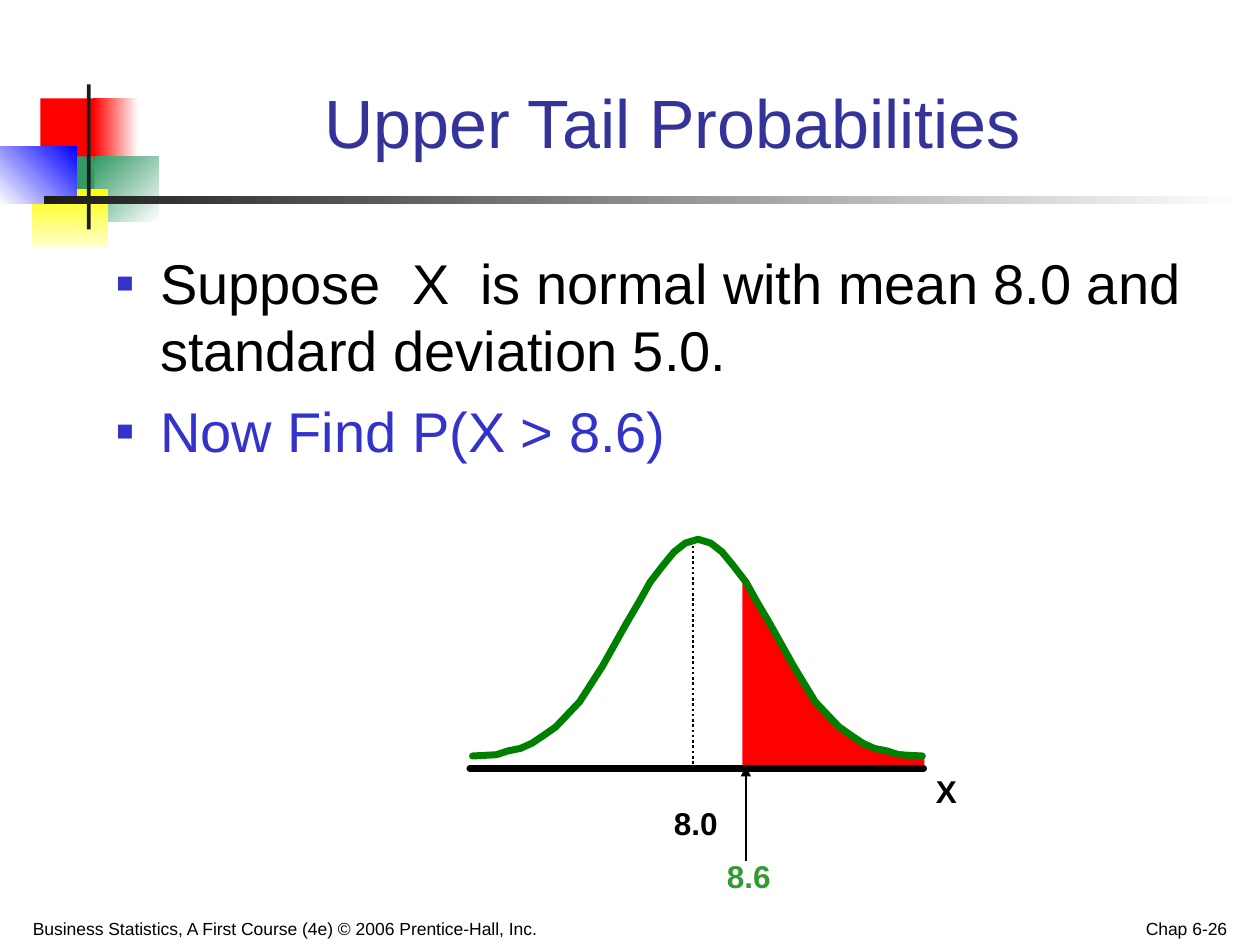
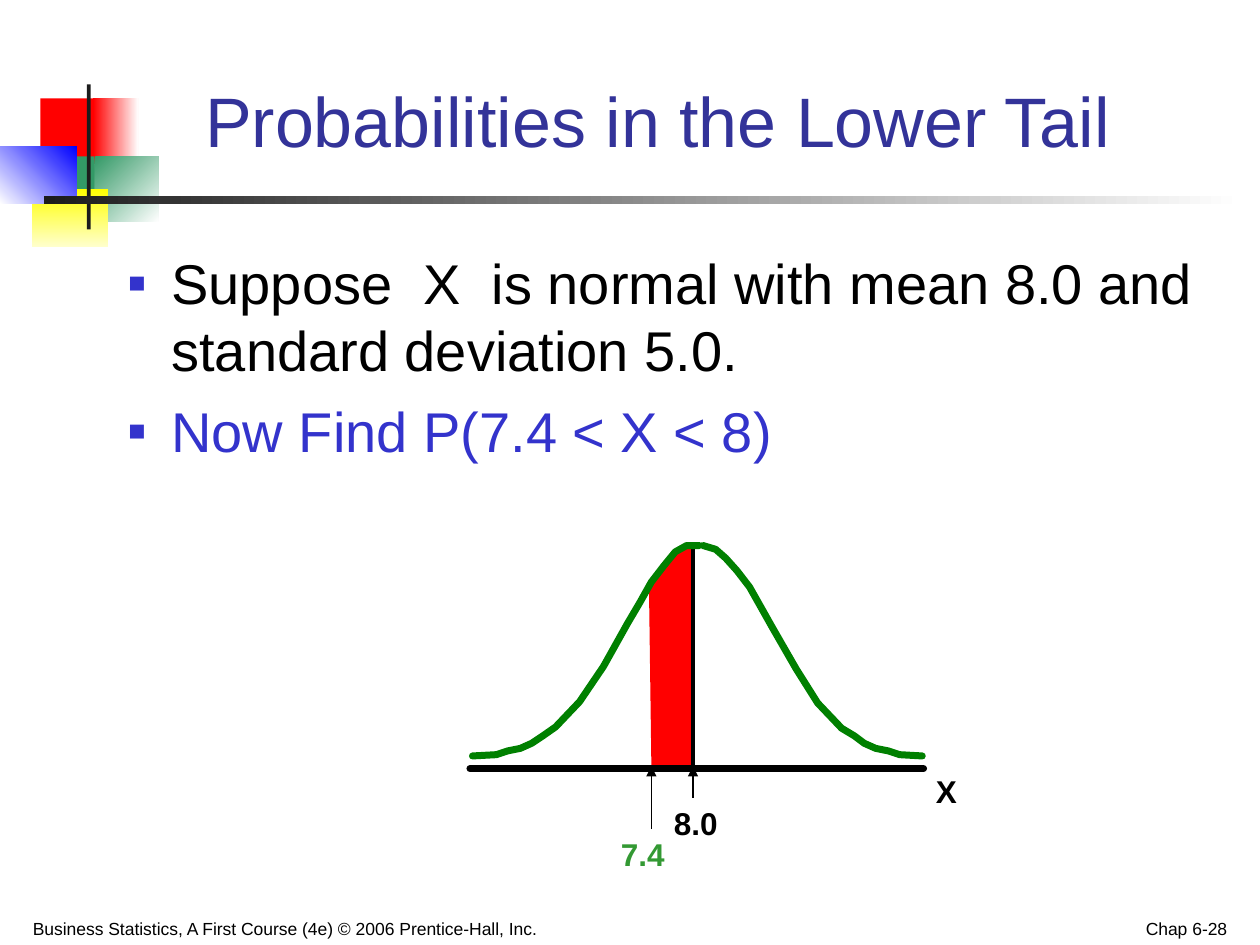
import lxml.etree
import pptx
import pptx.dml.color
import pptx.enum.dml
import pptx.enum.shapes
import pptx.enum.text
import pptx.oxml.ns
import pptx.util

RGB = pptx.dml.color.RGBColor
ALIGN = pptx.enum.text.PP_ALIGN
ANCHOR = pptx.enum.text.MSO_ANCHOR
FIT = pptx.enum.text.MSO_AUTO_SIZE
DASH = pptx.enum.dml.MSO_LINE
RECTANGLE = pptx.enum.shapes.MSO_SHAPE.RECTANGLE
STRAIGHT = pptx.enum.shapes.MSO_CONNECTOR.STRAIGHT
qn = pptx.oxml.ns.qn
Pt = pptx.util.Pt

BLACK = RGB(0, 0, 0)
WHITE = RGB(255, 255, 255)
CHARCOAL = RGB(0x1C, 0x1C, 0x1C)
RED = RGB(255, 0, 0)
BLUE = RGB(0, 0, 255)
YELLOW = RGB(255, 255, 0)
CREAM = RGB(0xFF, 0xFF, 0xCC)
SEA_GREEN = RGB(0x33, 0x99, 0x66)
CURVE_GREEN = RGB(0, 0x80, 0)
BOUND_GREEN = RGB(0x33, 0x99, 0x33)
TITLE_BLUE = RGB(0x33, 0x33, 0x99)
TASK_BLUE = RGB(0x33, 0x33, 0xCC)

COLUMNS, ROWS = 10, 7.5
FONT = "Arial"
COURSE = "Business Statistics, A First Course (4e) © 2006 Prentice-Hall, Inc."
PREMISE = "Suppose  X  is normal with mean 8.0 and standard deviation 5.0."
BULLET = "▪"

EMBLEM = [
    ((0.32, 0.78, 0.48, 0.52), [RED], 0),
    ((0.74, 0.78, 0.36, 0.52), [RED, WHITE], 0),
    ((0.75, 1.24, 0.51, 0.52), [SEA_GREEN, WHITE], 45),
    ((0.43, 1.24, 0.32, 0.52), [SEA_GREEN], 0),
    ((0.25, 1.5, 0.61, 0.46), [YELLOW, CREAM], 90),
    ((0, 1.16, 0.61, 0.46), [WHITE, BLUE], 315),
    ((0.69, 0.67, 0.03, 1.15), [CHARCOAL], 0),
    ((0.35, 1.56, 9.51, 0.06), [CHARCOAL, WHITE], 0),
]

AXIS_Y, FOOT_Y, MEAN_X = 6.1, 6, 5.5
ARROW_TIP = 6.08
HALF_WIDTH, HALF_HEIGHT = 1.79, 1.72
HALF_BELL = [
    (0, 0), (0.19, 0.01), (0.28, 0.04), (0.38, 0.06), (0.47, 0.1), (0.56, 0.16),
    (0.66, 0.23), (0.85, 0.43), (1.03, 0.71), (1.22, 1.05), (1.32, 1.22),
    (1.41, 1.38), (1.51, 1.51), (1.6, 1.62), (1.69, 1.69), (1.79, 1.72),
]
AXIS_LABEL = ("X", (7.33, 6.08, 0.42, 0.4), BLACK)
MEAN_LABEL = ("8.0", (5.25, 6.33, 0.55, 0.4), BLACK)

LESSONS = [
    {
        "title": "Upper Tail Probabilities",
        "title_at": (1.08, 0.42, 8.52, 0.92),
        "title_size": 39,
        "task": "Now Find P(X > 8.6)",
        "body_left": 0.83,
        "page": "Chap 6-26",
        "tail": [
            (5.9, 6.1), (5.9, 4.57), (5.94, 4.69), (6.04, 4.84), (6.1, 4.98),
            (6.17, 5.08), (6.24, 5.23), (6.37, 5.43), (6.48, 5.58), (6.66, 5.77),
            (6.95, 5.94), (7.33, 6), (7.33, 6.1),
        ],
        "tail_edge": 1,
        "halves": [(7.32, 5.54, 4.28, 4.28), (3.75, 5.54, 4.28, 4.28)],
        "mean_line": (1.5, DASH.ROUND_DOT),
        "bound": ("8.6", (5.67, 6.75, 0.55, 0.4), BOUND_GREEN),
        "arrows": [(5.92, 6.83)],
    },
    {
        "title": "Probabilities in the Lower Tail ",
        "title_at": (1.26, 0.25, 8.07, 1.08),
        "title_size": 40,
        "task": "Now Find P(7.4 < X < 8)",
        "body_left": 0.92,
        "page": "Chap 6-28",
        "tail": [
            (5.17, 6.08), (5.15, 4.62), (5.2, 4.55), (5.26, 4.47), (5.32, 4.41),
            (5.37, 4.37), (5.42, 4.33), (5.5, 4.33), (5.5, 6.08),
        ],
        "tail_edge": 0,
        "halves": [(7.32, 5.58, 4.33, 4.33), (3.75, 5.55, 4.28, 4.33)],
        "mean_line": (2.5, DASH.SOLID),
        "bound": ("7.4", (4.83, 6.58, 0.55, 0.4), BOUND_GREEN),
        "arrows": [(5.5, 6.33), (5.17, 6.58)],
    },
]

deck = pptx.Presentation()
deck.slide_width = pptx.util.Inches(COLUMNS)
deck.slide_height = pptx.util.Inches(ROWS)
unit = deck.slide_width // COLUMNS
layout = deck.slide_layouts[1]


def grid(*lengths):
    return [round(length * unit) for length in lengths]


def assign(part, **formats):
    for key, value in formats.items():
        setattr(part, key, value)


def write(paragraph, text, size, color, bold=False, **formats):
    paragraph.text = text
    assign(paragraph, **formats)
    assign(paragraph.font, name=FONT, size=Pt(size), bold=bold)
    paragraph.font.color.rgb = color


def place(part, at, **frame_formats):
    assign(part, **dict(zip(("left", "top", "width", "height"), grid(*at))))
    side, edge = grid(0.09, 0.05)
    assign(part.text_frame, margin_left=side, margin_right=side, margin_top=edge,
           margin_bottom=edge, word_wrap=True, auto_size=FIT.NONE)
    assign(part.text_frame, **frame_formats)
    return part.text_frame.paragraphs[0]


def paint(part, colors, angle=0):
    part.shadow.inherit = False
    part.line.fill.background()
    if len(colors) == 1:
        part.fill.solid()
        part.fill.fore_color.rgb = colors[0]
        return
    part.fill.gradient()
    part.fill.gradient_angle = -angle % 360
    for stop, color in zip(part.fill.gradient_stops, colors):
        stop.color.rgb = color


def stroke(part, color, width, dash=DASH.SOLID, rounded=False):
    part.line.color.rgb = color
    assign(part.line, width=Pt(width), dash_style=dash)
    if rounded:
        outline = part.get_or_add_ln()
        outline.set("cap", "rnd")
        lxml.etree.SubElement(outline, qn("a:round"))


def outline_path(slide, points, closed):
    hundredths = [(x * 100, y * 100) for x, y in points]
    path_builder = slide.shapes.build_freeform(*hundredths[0], scale=unit / 100)
    path_builder.add_line_segments(hundredths[1:], close=closed)
    part = path_builder.convert_to_shape()
    part.shadow.inherit = False
    return part


def rule(slide, start, end, width, dash=DASH.SOLID, rounded=False, arrow=False):
    part = slide.shapes.add_connector(STRAIGHT, *grid(*start, *end))
    stroke(part, BLACK, width, dash, rounded)
    if arrow:
        lxml.etree.SubElement(part.get_or_add_ln(), qn("a:tailEnd"), type="triangle")
    lxml.etree.SubElement(part.element.spPr, qn("a:effectLst"))


def move_emblem_to_layout(slide):
    for number, (at, colors, angle) in enumerate(EMBLEM, 100):
        block = slide.shapes.add_shape(RECTANGLE, *grid(*at))
        paint(block, colors, angle)
        block.element.nvSpPr.cNvPr.set("id", str(number))
        layout.element.cSld.spTree.append(block.element)


def add_bullet(paragraph):
    properties = paragraph._p.get_or_add_pPr()
    indent = grid(0.35)[0]
    properties.set("marL", str(indent))
    properties.set("indent", str(-indent))
    color = lxml.etree.SubElement(properties, qn("a:buClr"))
    lxml.etree.SubElement(color, qn("a:srgbClr"), val=str(TASK_BLUE))
    lxml.etree.SubElement(properties, qn("a:buFont"), typeface=FONT)
    lxml.etree.SubElement(properties, qn("a:buChar"), char=BULLET)


def add_text(slide, lesson):
    heading = place(slide.shapes.title, lesson["title_at"], vertical_anchor=ANCHOR.BOTTOM)
    write(heading, lesson["title"], lesson["title_size"], TITLE_BLUE, alignment=ALIGN.CENTER)

    body = slide.placeholders[1]
    premise = place(body, (lesson["body_left"], 1.92, 8.83, 4.96), vertical_anchor=ANCHOR.TOP)
    task = body.text_frame.add_paragraph()
    for paragraph, text, color, gap in (
        (premise, PREMISE, BLACK, 0),
        (task, lesson["task"], TASK_BLUE, 8),
    ):
        paragraph.space_before = Pt(gap)
        add_bullet(paragraph)
        write(paragraph, text, 32, color)

    for text, at, alignment in (
        (COURSE, (0.17, 7.15, 5.08, 0.35), ALIGN.LEFT),
        (lesson["page"], (7.5, 7.15, 2.33, 0.35), ALIGN.RIGHT),
    ):
        footer = slide.shapes.add_textbox(*grid(*at))
        write(place(footer, at, vertical_anchor=ANCHOR.BOTTOM), text, 10, BLACK,
              alignment=alignment)


def add_bell(slide, lesson):
    tail = outline_path(slide, lesson["tail"], True)
    paint(tail, [RED])
    if lesson["tail_edge"]:
        stroke(tail, RED, lesson["tail_edge"])

    rule(slide, (MEAN_X, 4.33), (MEAN_X, ARROW_TIP), *lesson["mean_line"])
    for foot, peak_x, peak_y, ceiling in lesson["halves"]:
        across = (peak_x - foot) / HALF_WIDTH
        up = (FOOT_Y - peak_y) / HALF_HEIGHT
        points = [(foot + run * across, max(FOOT_Y - rise * up, ceiling))
                  for run, rise in HALF_BELL]
        half = outline_path(slide, points, False)
        half.fill.background()
        stroke(half, CURVE_GREEN, 4, rounded=True)
    rule(slide, (3.73, AXIS_Y), (7.33, AXIS_Y), 4, rounded=True)

    for text, at, color in (AXIS_LABEL, lesson["bound"], MEAN_LABEL):
        label = slide.shapes.add_textbox(*grid(*at))
        side = grid(0.1)[0]
        paragraph = place(label, at, margin_left=side, margin_right=side,
                          word_wrap=False, auto_size=FIT.SHAPE_TO_FIT_TEXT)
        write(paragraph, text, 18, color, bold=True)
    for x, start_y in lesson["arrows"]:
        rule(slide, (x, start_y), (x, ARROW_TIP), 1, arrow=True)


def main():
    for lesson in LESSONS:
        slide = deck.slides.add_slide(layout)
        if lesson is LESSONS[0]:
            move_emblem_to_layout(slide)
        add_text(slide, lesson)
        add_bell(slide, lesson)
    deck.save("out.pptx")


if __name__ == "__main__":
    main()
